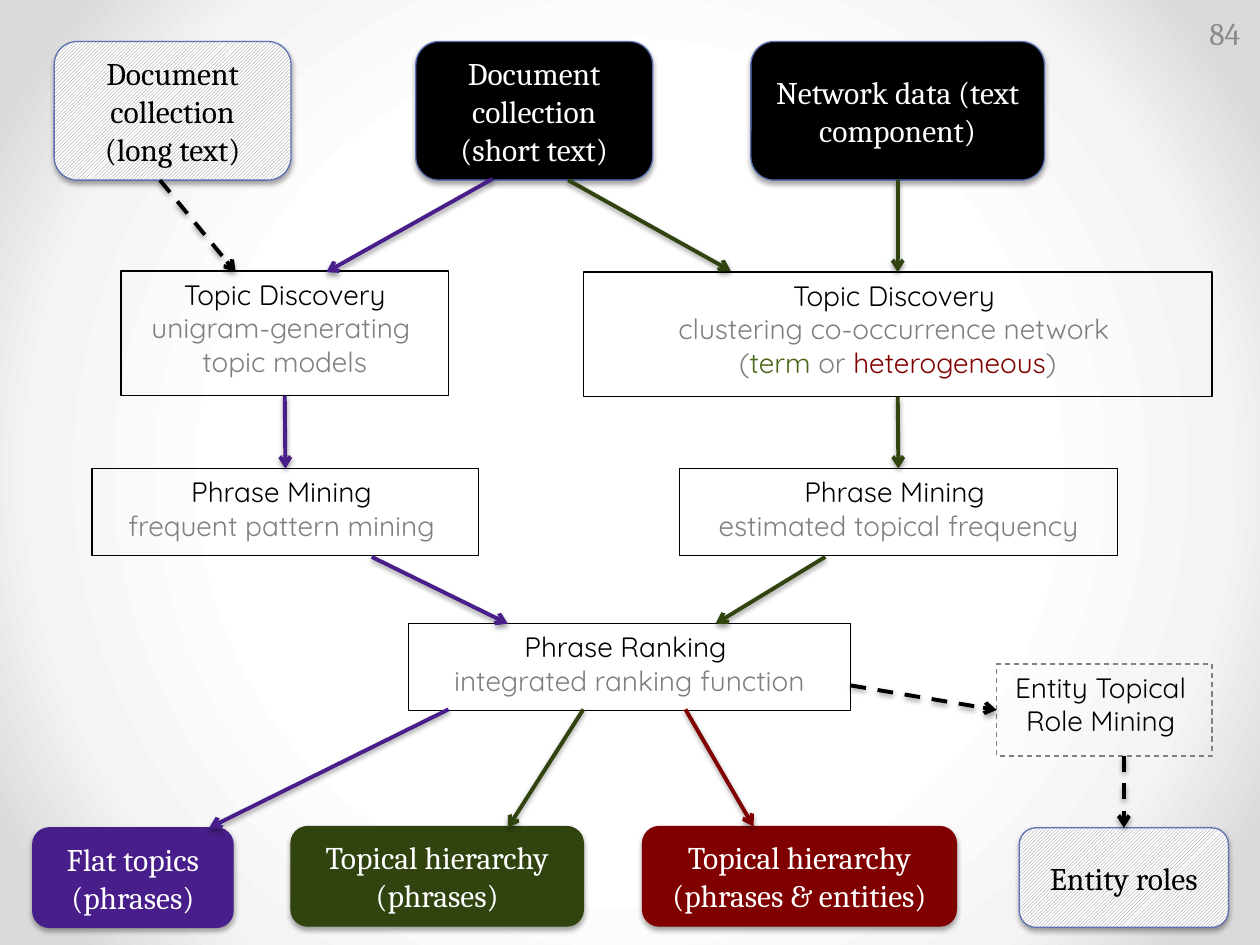
from dataclasses import dataclass
from typing import NamedTuple, Optional, Union

from lxml import etree
from pptx import Presentation
from pptx.dml.color import RGBColor
from pptx.enum import dml, shapes, text
from pptx.oxml import parse_xml
from pptx.oxml.ns import nsdecls, qn
from pptx.util import Inches, Pt


@dataclass(frozen=True)
class Theme:
    black: str = "000000"
    white: str = "FFFFFF"
    gray: str = "808080"
    number: str = "8C8C8C"
    blue: str = "5C72B2"
    purple: str = "481E8A"
    green: str = "314410"
    term: str = "4A6717"
    red: str = "800000"
    backdrop: tuple = ((50, "FFFFFF"), (76, "F4F4F4"), (92, "DADADA"))
    serif: str = "Cambria"
    sans: str = "Quicksand"
    data_size: int = 18
    step_size: int = 16
    thin: float = 0.75
    arrow: float = 2.25


T = Theme()


class Span(NamedTuple):
    text: str
    color: str


class Point(NamedTuple):
    x: float
    y: float


class Site(NamedTuple):
    box: str
    index: int


@dataclass
class Step:
    name: str
    at: tuple
    paragraphs: list
    dashed: bool = False


@dataclass
class Data:
    name: str
    at: tuple
    text: str
    fill: Optional[str]  # None means hatched
    line: str = T.blue


@dataclass
class Arrow:
    start: Union[Point, Site]
    end: Union[Point, Site]
    color: str
    dashed: bool = False


def rgb(color: str) -> RGBColor:
    return RGBColor.from_string(color)


def style_run(r, font: str, size: int, color: str) -> None:
    r.font.name = font
    r.font.size = Pt(size)
    r.font.color.rgb = rgb(color)


def style_line(line, color: str, width: float, dashed: bool = False) -> None:
    line.color.rgb = rgb(color)
    line.width = Pt(width)
    if dashed:
        line.dash_style = dml.MSO_LINE.DASH


def add_shadow(effects, alpha: int, distance: float) -> None:
    shadow = etree.SubElement(effects, qn("a:outerShdw"), blurRad=str(Pt(3.1)),
                              dist=str(Pt(distance)), dir="5400000", rotWithShape="0")
    color = etree.SubElement(shadow, qn("a:srgbClr"), val=T.black)
    etree.SubElement(color, qn("a:alpha"), val=str(alpha * 1000))


def add_box(slide, kind, at: tuple, anchor):
    sp = slide.shapes.add_shape(kind, *map(Inches, at))
    sp.shadow.inherit = False
    sp.text_frame.word_wrap = True
    sp.text_frame.vertical_anchor = anchor
    return sp


def draw_step(slide, step: Step):
    sp = add_box(slide, shapes.MSO_SHAPE.RECTANGLE, step.at, text.MSO_ANCHOR.TOP)
    sp.fill.background()
    style_line(sp.line, T.gray if step.dashed else T.black, T.thin, step.dashed)
    tf = sp.text_frame
    for i, spans in enumerate(step.paragraphs):
        p = tf.add_paragraph() if i else tf.paragraphs[0]
        p.alignment = text.PP_ALIGN.CENTER
        for span in spans:
            r = p.add_run()
            r.text = span.text
            style_run(r, T.sans, T.step_size, span.color)
    return sp


def draw_data(slide, data: Data):
    sp = add_box(slide, shapes.MSO_SHAPE.ROUNDED_RECTANGLE, data.at, text.MSO_ANCHOR.MIDDLE)
    if data.fill:
        sp.fill.solid()
        sp.fill.fore_color.rgb = rgb(data.fill)
    else:
        sp.fill.patterned()
        sp.fill.pattern = dml.MSO_PATTERN.LIGHT_UPWARD_DIAGONAL
        sp.fill.fore_color.rgb = rgb(T.gray)
        sp.fill.back_color.rgb = rgb(T.white)
    style_line(sp.line, data.line, T.thin)
    add_shadow(sp.element.spPr.find(qn("a:effectLst")), 35, 1.8)
    sp.text_frame.text = data.text
    for p in sp.text_frame.paragraphs:
        p.alignment = text.PP_ALIGN.CENTER
        style_run(p.runs[0], T.serif, T.data_size, T.white if data.fill else T.black)
    return sp


def draw_arrow(slide, arrow: Arrow, boxes: dict) -> None:
    ends = [(0, 0) if isinstance(e, Site) else (Inches(e.x), Inches(e.y))
            for e in (arrow.start, arrow.end)]
    cxn = slide.shapes.add_connector(shapes.MSO_CONNECTOR.STRAIGHT, *ends[0], *ends[1])
    if isinstance(arrow.start, Site):
        cxn.begin_connect(boxes[arrow.start.box], arrow.start.index)
    if isinstance(arrow.end, Site):
        cxn.end_connect(boxes[arrow.end.box], arrow.end.index)
    style_line(cxn.line, arrow.color, T.arrow, arrow.dashed)
    sp_pr = cxn.element.spPr
    etree.SubElement(sp_pr.find(qn("a:ln")), qn("a:tailEnd"), type="arrow")
    add_shadow(etree.SubElement(sp_pr, qn("a:effectLst")), 38, 1.6)


def draw_background(slide) -> None:
    slide.background.fill.solid()
    bg_pr = slide.element.find(".//" + qn("p:bgPr"))
    stops = "".join(f'<a:gs pos="{pos * 1000}"><a:srgbClr val="{color}"/></a:gs>'
                    for pos, color in T.backdrop)
    bg_pr.replace(bg_pr[0], parse_xml(
        f'<a:gradFill {nsdecls("a")}><a:gsLst>{stops}</a:gsLst><a:path path="circle">'
        '<a:fillToRect l="50000" t="50000" r="50000" b="50000"/></a:path></a:gradFill>'))


def draw_number(slide, number: str) -> None:
    tf = slide.shapes.add_textbox(*map(Inches, (9.33, 0.06, 0.61, 0.4))).text_frame
    tf.word_wrap = True
    tf.vertical_anchor = text.MSO_ANCHOR.MIDDLE
    tf.text = number
    tf.paragraphs[0].alignment = text.PP_ALIGN.RIGHT
    style_run(tf.paragraphs[0].runs[0], T.serif, T.data_size, T.number)


def two_lines(title: str, method: str) -> list:
    return [[Span(title, T.black)], [Span(method, T.gray)]]


STEPS = [
    Step("unigram", (0.96, 2.15, 2.6, 0.99),
         [[Span("Topic Discovery ", T.black), Span("unigram-generating ", T.gray)],
          [Span("topic models", T.gray)]]),
    Step("pattern", (0.73, 3.72, 3.07, 0.69),
         two_lines("Phrase Mining ", "frequent pattern mining ")),
    Step("ranking", (3.24, 4.95, 3.51, 0.69),
         two_lines("Phrase Ranking ", "integrated ranking function")),
    Step("frequency", (5.39, 3.72, 3.48, 0.69),
         two_lines("Phrase Mining ", "estimated topical frequency")),
    Step("clustering", (4.63, 2.16, 4.99, 0.99),
         two_lines("Topic Discovery ", "clustering co-occurrence network ")
         + [[Span("(", T.gray), Span("term", T.term), Span(" or ", T.gray),
             Span("heterogeneous", T.red), Span(")", T.gray)]]),
    Step("role mining", (7.91, 5.27, 1.71, 0.73),
         [[Span("Entity Topical ", T.black)], [Span("Role Mining ", T.black)]], dashed=True),
]
DATA = [
    Data("hierarchy", (2.31, 6.56, 2.32, 0.79), "Topical hierarchy\n(phrases)", T.green, T.green),
    Data("flat", (0.26, 6.57, 1.59, 0.79), "Flat topics\n(phrases)", T.purple, T.purple),
    Data("entities", (5.1, 6.56, 2.49, 0.79), "Topical hierarchy\n(phrases & entities)", T.red, T.red),
    Data("roles", (8.09, 6.57, 1.66, 0.79), "Entity roles", None),
    Data("long text", (0.43, 0.33, 1.88, 1.1), "Document collection (long text)", None),
    Data("network", (5.96, 0.33, 2.33, 1.1), "Network data (text component)", T.black),
    Data("short text", (3.3, 0.33, 1.88, 1.1), "Document collection (short text)", T.black),
]
ARROWS = [
    Arrow(Site("clustering", 2), Site("frequency", 0), T.green),
    Arrow(Point(6.75, 5.44), Site("role mining", 1), T.black, dashed=True),
    Arrow(Point(8.92, 6), Site("roles", 0), T.black, dashed=True),
    Arrow(Point(4.63, 5.63), Point(4.03, 6.57), T.green),
    Arrow(Point(3.56, 5.63), Point(1.66, 6.57), T.purple),
    Arrow(Point(6.55, 4.42), Point(5.68, 4.95), T.green),
    Arrow(Point(2.95, 4.42), Point(4.03, 4.95), T.purple),
    Arrow(Site("unigram", 2), Site("pattern", 0), T.purple),
    Arrow(Point(1.27, 1.43), Point(1.87, 2.16), T.black, dashed=True),
    Arrow(Site("network", 2), Site("clustering", 0), T.green),
    Arrow(Point(3.91, 1.42), Point(2.59, 2.16), T.purple),
    Arrow(Point(5.44, 5.63), Point(5.98, 6.56), T.red),
    Arrow(Point(4.51, 1.43), Point(5.8, 2.15), T.green),
]


def main() -> None:
    prs = Presentation()
    prs.slide_width, prs.slide_height = Inches(10), Inches(7.5)
    slide = prs.slides.add_slide(prs.slide_layouts[6])
    draw_background(slide)
    # Processing steps, then inputs and outputs
    boxes = {step.name: draw_step(slide, step) for step in STEPS}
    boxes.update({data.name: draw_data(slide, data) for data in DATA})
    # Flow between the boxes
    for arrow in ARROWS:
        draw_arrow(slide, arrow, boxes)
    draw_number(slide, "84")
    prs.save("out.pptx")


if __name__ == "__main__":
    main()
